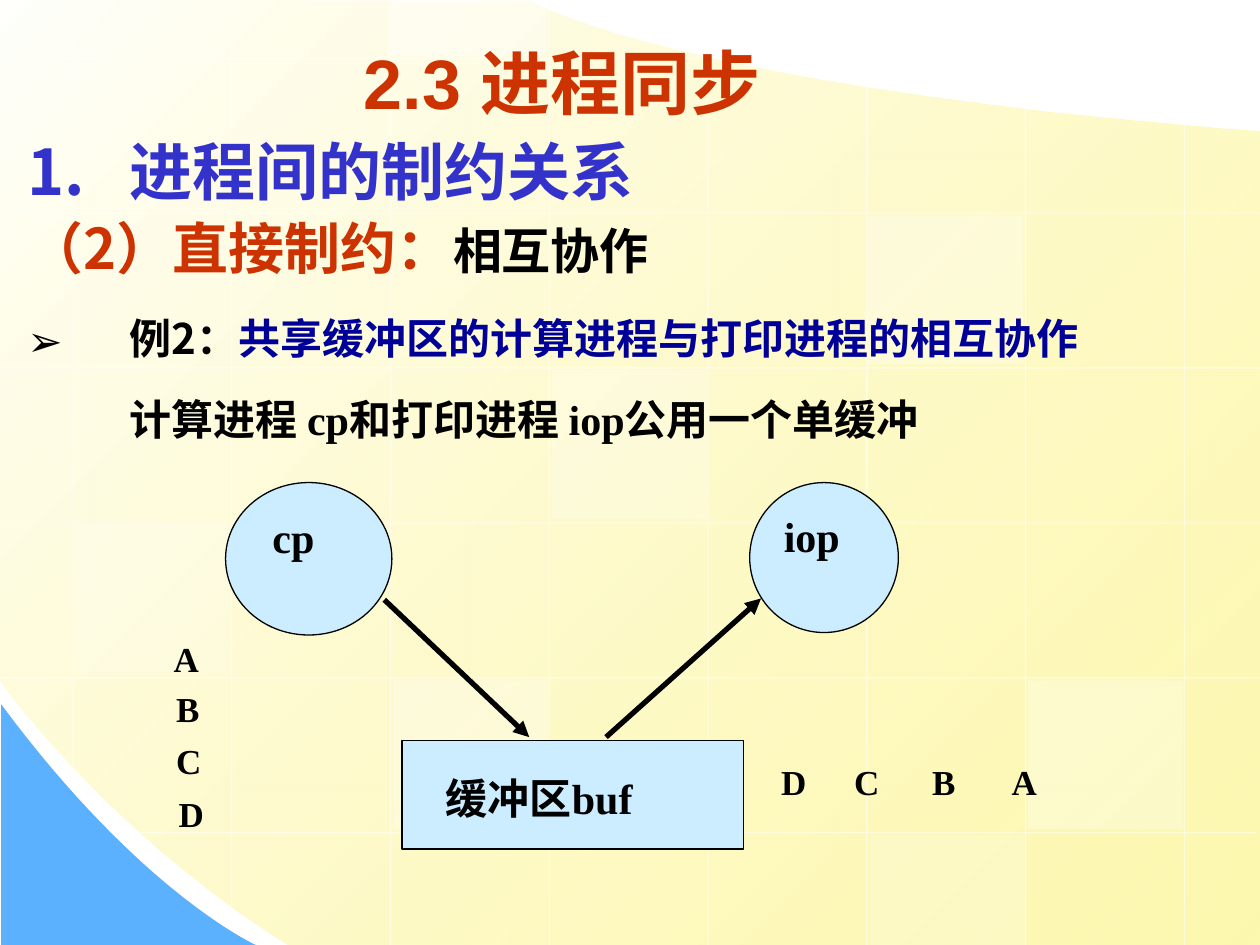
from lxml.etree import SubElement
from pptx import Presentation
from pptx.dml.color import RGBColor
from pptx.enum.shapes import MSO_CONNECTOR as Connector, MSO_SHAPE as Preset
from pptx.enum.text import MSO_ANCHOR as Anchor
from pptx.oxml.ns import qn
from pptx.util import Inches, Pt

COLORS = {
    "white": "FFFFFF", "black": "000000", "cream": "FFFFFB", "yellow": "FDF58D",
    "corner": "5CB1FE", "node": "CCECFF", "red": "CC3300", "blue": "3333CC",
    "navy": "000099",
}
SERIF, SANS, CJK = "Times New Roman", "Arial", "Noto Sans CJK SC"


def rgb(name):
    return RGBColor.from_string(COLORS[name])


def set_alpha(properties, percent):
    for color in properties.iter(qn("a:srgbClr")):
        SubElement(color, qn("a:alpha"), val=str(percent * 1000))


def style_font(font, size, name=SERIF, color="black"):
    font.size, font.bold, font.name = Pt(size), True, name
    font.color.rgb = rgb(color)
    SubElement(font._rPr, qn("a:ea"), typeface=CJK)


def bezier(start, first, second, end, steps=32):
    points = []
    for step in range(1, steps + 1):
        t = step / steps
        weights = ((1 - t) ** 3, 3 * t * (1 - t) ** 2, 3 * t * t * (1 - t), t ** 3)
        points.append(tuple(
            sum(weight * value for weight, value in zip(weights, axis))
            for axis in zip(start, first, second, end)))
    return points


def add_outline(slide, points):
    builder = slide.shapes.build_freeform(
        Inches(points[0][0]), Inches(points[0][1]), scale=1.0)
    builder.add_line_segments([(Inches(x), Inches(y)) for x, y in points[1:]], close=True)
    shape = builder.convert_to_shape()
    shape.shadow.inherit = False
    shape.line.fill.background()
    return shape


def add_line(slide, start, end, color="black", width=3):
    line = slide.shapes.add_connector(
        Connector.STRAIGHT, *(Inches(value) for value in (*start, *end)))
    line.line.color.rgb = rgb(color)
    line.line.width = Pt(width)
    SubElement(line._element.spPr, qn("a:effectLst"))
    return line


def add_arrow(slide, start, end):
    arrow = add_line(slide, start, end)
    SubElement(arrow.line._get_or_add_ln(), qn("a:tailEnd"), type="triangle")


def add_preset(slide, preset, box, color):
    shape = slide.shapes.add_shape(preset, *(Inches(value) for value in box))
    shape.shadow.inherit = False
    shape.fill.solid()
    shape.fill.fore_color.rgb = rgb(color)
    return shape


def add_tile(slide, box, alpha):
    tile = add_preset(slide, Preset.RECTANGLE, box, "white")
    tile.line.fill.background()
    set_alpha(tile._element.spPr, alpha)


def set_margins(paragraph, left, indent=0):
    properties = paragraph._p.get_or_add_pPr()
    properties.set("marL", str(Inches(left)))
    properties.set("indent", str(Inches(indent)))
    return properties


def add_node(slide, preset, box, text, margin=0, line_spacing=1.0, space_before=6):
    node = add_preset(slide, preset, box, "node")
    node.line.color.rgb = rgb("black")
    node.line.width = Pt(0.75)
    frame = node.text_frame
    frame.word_wrap = True
    frame.vertical_anchor = Anchor.TOP
    paragraph = frame.paragraphs[0]
    paragraph.text = text
    set_margins(paragraph, margin).set("algn", "l")
    paragraph.line_spacing = line_spacing
    paragraph.space_before = Pt(space_before)
    style_font(paragraph.font, 24)


def add_text(slide, box, text="", size=20, name=SERIF, color="black", anchor=Anchor.TOP):
    frame = slide.shapes.add_textbox(*(Inches(value) for value in box)).text_frame
    frame.word_wrap = True
    frame.vertical_anchor = anchor
    if text:
        frame.paragraphs[0].text = text
        style_font(frame.paragraphs[0].font, size, name, color)
    return frame


def add_bullet(properties, color, kind, **attributes):
    SubElement(SubElement(properties, qn("a:buClr")), qn("a:srgbClr"), val=COLORS[color])
    SubElement(properties, qn("a:buFont"), typeface=CJK)
    SubElement(properties, qn(kind), **attributes)


def add_background(slide):
    start, top = (10, 1.04), (4.21, 0.01)
    panel = add_outline(slide, [
        start, (10, 7.5), (2.3, 7.5),
        *bezier((2.3, 7.5), (0.86, 6.61), (-0.01, 5.39), (0, 5.39)),
        (-0.01, -0.01), top, *bezier(top, top, (5.37, 0.69), start)])
    panel.fill.gradient()
    panel.fill.gradient_angle = 315
    for stop, color in zip(panel.fill.gradient_stops, ("cream", "yellow")):
        stop.color.rgb = rgb(color)
    last_color = list(panel._element.spPr.iter(qn("a:srgbClr")))[-1]
    set_alpha(last_color, 70)
    corner = add_outline(slide, [
        (0.01, 5.59), (0.01, 7.5), (2.03, 7.5),
        *bezier((2.03, 7.5), (2.03, 7.5), (1.12, 7.09), (0.01, 5.59))])
    corner.fill.solid()
    corner.fill.fore_color.rgb = rgb("corner")


def add_grid(slide):
    tops = (0, 0, 0, 0, 0.43, 0.68, 0.85, 0.98)
    bottoms = (6.09, 7.19) + (7.5,) * 6
    columns = [((0.58 + 1.26 * i, top), (0.58 + 1.26 * i, bottom))
               for i, (top, bottom) in enumerate(zip(tops, bottoms))]
    spans = [(0, 5.68)] + [(0, 10)] * 4 + [(1.11, 9.97)]
    rows = [((left, 0.46 + 1.23 * i), (right, 0.46 + 1.23 * i))
            for i, (left, right) in enumerate(spans)]
    for start, end in columns + rows:
        line = add_line(slide, start, end, "white", 0.75)
        set_alpha(line._element.spPr, 50)
    for left, top, height, alpha in (
            (4.38, 2.94, 1.18, 25), (8.16, 5.4, 1.18, 30), (0.6, 4.16, 1.18, 20),
            (6.9, 6.63, 0.87, 20), (3.11, 0, 0.44, 40), (3.12, 5.4, 1.18, 30),
            (6.89, 1.71, 1.18, 30)):
        add_tile(slide, (left, top, 1.23, height), alpha)


def add_body(slide):
    frame = add_text(slide, (0.12, 1.07, 9.53, 5.91))
    items = (
        (0.9, 9, -0.81, ("blue", "a:buAutoNum", {"type": "arabicPeriod"}),
         [("进程间的制约关系", 36, SANS, "blue")]),
        (0.9, 7, -0.81, None,
         [("（2）直接制约：", 32, CJK, "red"), ("相互协作", 28, SANS, "black")]),
        (1.3, 9, -0.81, ("black", "a:buChar", {"char": "➢"}),
         [("例2：", 24, CJK, "black"),
          ("共享缓冲区的计算进程与打印进程的相互协作", 24, SERIF, "navy")]),
        (1.3, 9, 0, None,
         [("计算进程 cp和打印进程 iop公用一个单缓冲", 24, SERIF, "black")]),
    )
    for index, (spacing, before, indent, bullet, runs) in enumerate(items):
        paragraph = frame.add_paragraph() if index else frame.paragraphs[0]
        paragraph.line_spacing = spacing
        paragraph.space_before = Pt(before)
        properties = set_margins(paragraph, 0.81, indent)
        if bullet:
            color, kind, attributes = bullet
            add_bullet(properties, color, kind, **attributes)
        for text, *style in runs:
            run = paragraph.add_run()
            run.text = text
            style_font(run.font, *style)


def add_diagram(slide):
    add_node(slide, Preset.RECTANGLE, (3.19, 5.88, 2.71, 0.86), "缓冲区buf", 0.25, 1.5, 15)
    add_node(slide, Preset.OVAL, (5.95, 3.83, 1.18, 1.19), "iop")
    add_node(slide, Preset.OVAL, (1.79, 3.83, 1.32, 1.21), "cp", 0.08)
    add_arrow(slide, (3.05, 4.76), (4.2, 5.85))
    add_arrow(slide, (4.81, 5.85), (6.04, 4.75))
    produced = zip("ABCD", (1.28, 1.3, 1.3, 1.32), (5.01, 5.41, 5.82, 6.24))
    printed = zip("ABCD", (7.93, 7.3, 6.68, 6.1), (5.99,) * 4)
    for letter, left, top in (*produced, *printed):
        add_text(slide, (left, top, 1.01, 0.44), letter)


def main():
    """Build the process synchronisation slide."""
    presentation = Presentation()
    presentation.slide_width, presentation.slide_height = Inches(10), Inches(7.5)
    slide = presentation.slides.add_slide(presentation.slide_layouts[6])
    add_background(slide)
    add_grid(slide)
    add_text(slide, (2.79, 0.14, 4.8, 1.01), "2.3 进程同步", 40, SANS, "red", Anchor.MIDDLE)
    add_body(slide)
    add_diagram(slide)
    presentation.save("out.pptx")


if __name__ == "__main__":
    main()
